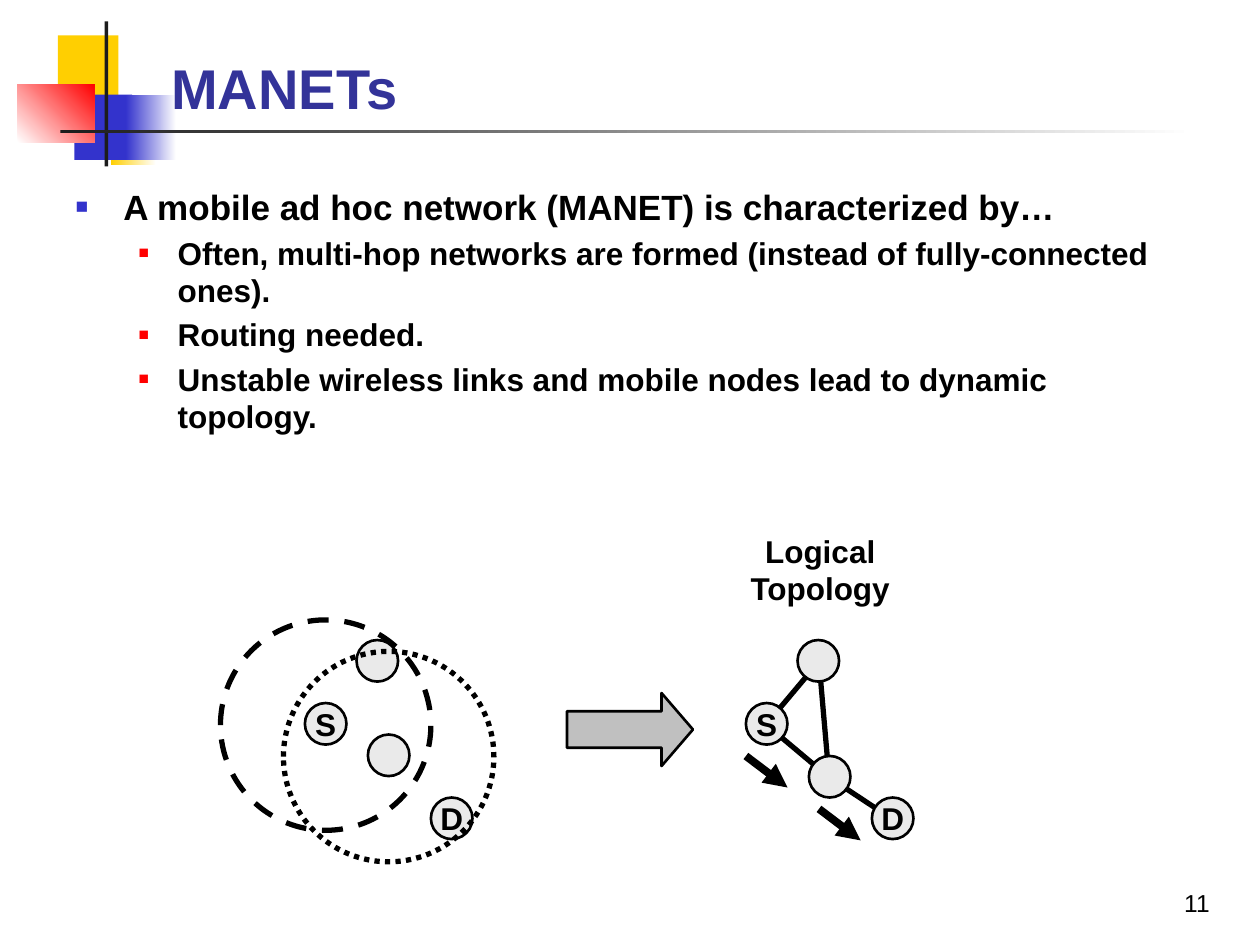
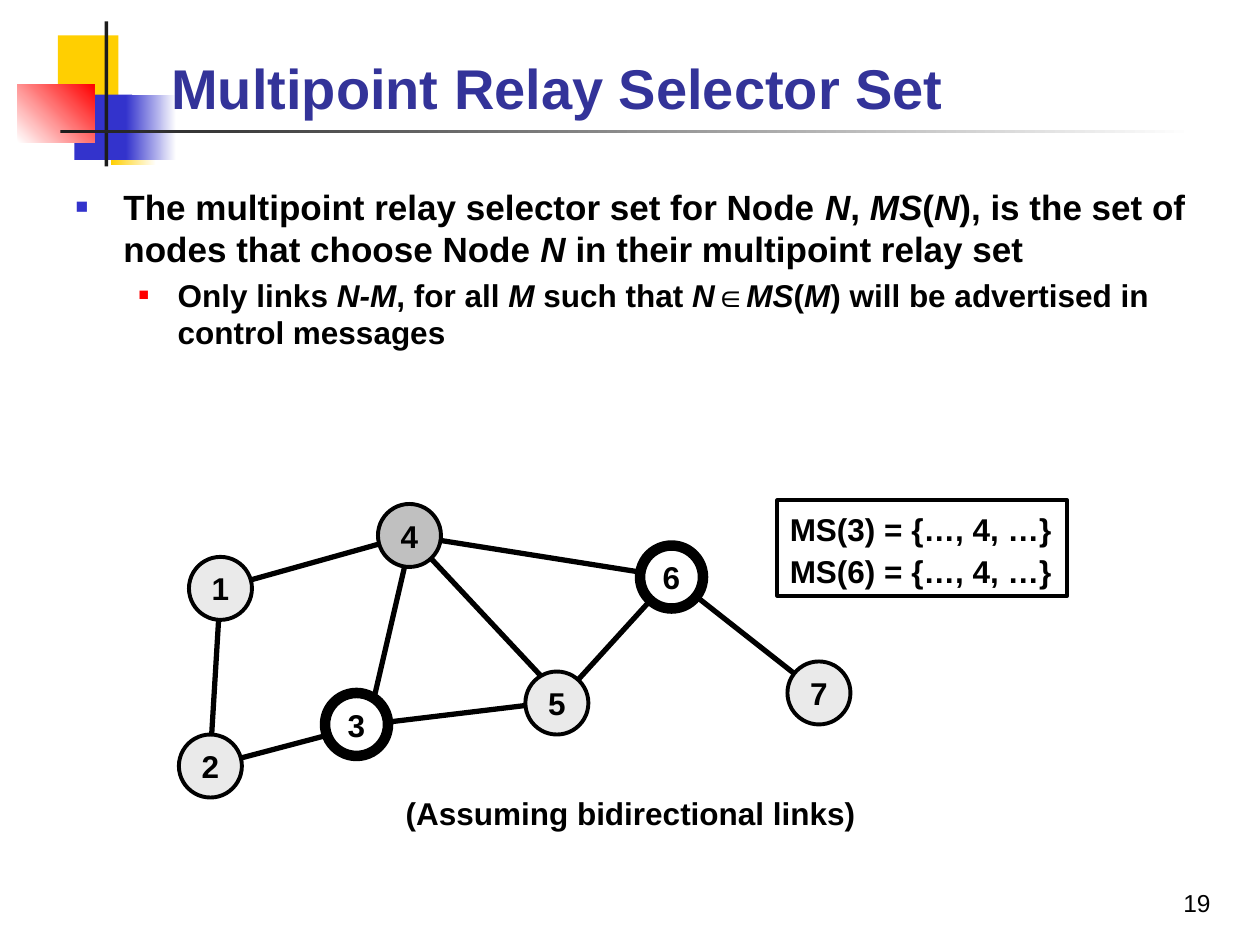
from dataclasses import dataclass
from lxml.etree import SubElement
from pptx import Presentation
from pptx.dml.color import RGBColor
from pptx.enum.dml import MSO_LINE
from pptx.enum.shapes import MSO_CONNECTOR, MSO_SHAPE
from pptx.enum.text import MSO_ANCHOR, MSO_AUTO_SIZE, PP_ALIGN
from pptx.oxml.ns import qn
from pptx.util import Inches, Pt


@dataclass(frozen=True)
class Theme:
    font: str = "Arial"
    ink: str = "000000"
    white: str = "FFFFFF"
    title: str = "333399"
    gold: str = "FFCF01"
    blue: str = "3333CC"
    red: str = "FF0000"
    dark: str = "1C1C1C"
    pale: str = "EAEAEA"
    gray: str = "C0C0C0"
    head: int = 32
    main: int = 20
    small: int = 18
    page: int = 14


LOOK = Theme()
LEVELS = (
    (0.38, -0.38, LOOK.blue, 60, LOOK.main),
    (0.81, -0.31, LOOK.red, 55, LOOK.small),
)


def color(code):
    return RGBColor.from_string(code)


def box(*edges):
    return [Inches(edge) for edge in edges]


def write(para, text, size=LOOK.small, ink=LOOK.ink, bold=True,
          align=PP_ALIGN.LEFT, before=0, spacing=None):
    para.alignment = align
    para.space_before = Pt(before)
    if spacing:
        para.line_spacing = spacing
    for spot, part in enumerate(text.split("*")):
        if part:
            run = para.add_run()
            run.text = part
            font = run.font
            font.name, font.size, font.bold = LOOK.font, Pt(size), bold
            font.italic = spot % 2 == 1
            font.color.rgb = color(ink)


def fill_frame(frame, lines, **style):
    for spot, line in enumerate(lines):
        para = frame.add_paragraph() if spot else frame.paragraphs[0]
        write(para, line, **style)


def add_form(slide, kind, place, fill=None, line=None, dash=None, angle=0):
    form = slide.shapes.add_shape(kind, *box(*place))
    form.shadow.inherit = False
    if isinstance(fill, tuple):
        form.fill.gradient()
        form.fill.gradient_angle = angle
        for stop, code in zip(form.fill.gradient_stops, fill):
            stop.color.rgb = color(code)
    elif fill:
        form.fill.solid()
        form.fill.fore_color.rgb = color(fill)
    else:
        form.fill.background()
    if line:
        form.line.color.rgb = color(LOOK.ink)
        form.line.width = Pt(line)
        if dash:
            form.line.dash_style = dash
    else:
        form.line.fill.background()
    return form


def add_node(slide, left, top, size, text="", fill=LOOK.pale, line=1.5):
    node = add_form(slide, MSO_SHAPE.OVAL, (left, top, size, size), fill, line)
    if text:
        frame = node.text_frame
        frame.word_wrap = False
        frame.vertical_anchor = MSO_ANCHOR.MIDDLE
        write(frame.paragraphs[0], text, align=PP_ALIGN.CENTER)


def add_link(slide, start, end, width=3, head=False):
    link = slide.shapes.add_connector(
        MSO_CONNECTOR.STRAIGHT, *box(*start), *box(*end))
    link.line.color.rgb = color(LOOK.ink)
    link.line.width = Pt(width)
    props = link.element.spPr
    if head:
        SubElement(props.find(qn("a:ln")), qn("a:tailEnd"), type="triangle")
    SubElement(props, qn("a:effectLst"))


def add_label(slide, place, lines, wrap=False, **style):
    frame = slide.shapes.add_textbox(*box(*place)).text_frame
    frame.word_wrap = wrap
    if not wrap:
        frame.auto_size = MSO_AUTO_SIZE.SHAPE_TO_FIT_TEXT
    fill_frame(frame, lines, align=PP_ALIGN.CENTER, **style)


def set_place(holder, place, anchor):
    holder.left, holder.top, holder.width, holder.height = box(*place)
    frame = holder.text_frame
    frame.auto_size = MSO_AUTO_SIZE.NONE
    frame.vertical_anchor = anchor
    return frame


def add_bullet(para, text, level, first):
    left, hang, tint, scale, size = LEVELS[level]
    para.level = level
    props = para._p.get_or_add_pPr()
    props.set("marL", str(Inches(left)))
    props.set("indent", str(Inches(hang)))
    SubElement(SubElement(props, qn("a:buClr")), qn("a:srgbClr"), val=tint)
    SubElement(props, qn("a:buSzPct"), val=str(scale * 1000))
    SubElement(props, qn("a:buFont"), typeface=LOOK.font)
    SubElement(props, qn("a:buChar"), char="■")
    write(para, text, size=size, before=0 if first else size * 0.2)


def add_slide(deck, title, points, page):
    slide = deck.slides.add_slide(deck.slide_layouts[1])
    head, body = slide.placeholders
    frame = set_place(head, (1.26, 0.18, 8.52, 0.83), MSO_ANCHOR.BOTTOM)
    write(frame.paragraphs[0], title, size=LOOK.head, ink=LOOK.title)
    frame = set_place(body, (0.5, 1.42, 9.08, 5.67), MSO_ANCHOR.TOP)
    for spot, (level, text) in enumerate(points):
        para = frame.add_paragraph() if spot else frame.paragraphs[0]
        add_bullet(para, text, level, spot == 0)
    add_label(slide, (9, 7, 1, 0.5), [page], wrap=True,
              size=LOOK.page, bold=False)
    return slide


def add_decor(deck, slide):
    parts = (
        ((0.46, 0.28, 0.48, 0.52), LOOK.gold, 0),
        ((0.88, 0.79, 0.36, 0.52), (LOOK.gold, LOOK.white), 0),
        ((0.59, 0.75, 0.46, 0.52), LOOK.blue, 0),
        ((1, 0.75, 0.4, 0.52), (LOOK.blue, LOOK.white), 0),
        ((0.14, 0.67, 0.61, 0.46), (LOOK.white, LOOK.red), 45),
        ((0.83, 0.17, 0.03, 1.15), LOOK.dark, 0),
        ((0.48, 1.03, 9, 0.03), (LOOK.dark, LOOK.white), 0),
    )
    tree = deck.slide_master.shapes.element
    for spot, (place, fill, angle) in enumerate(parts):
        form = add_form(slide, MSO_SHAPE.RECTANGLE, place, fill, angle=angle)
        form.element.xpath(".//p:cNvPr")[0].set("id", str(100 + spot))
        tree.insert(2 + spot, form.element)


def draw_manet(slide):
    size, ring, shift = 0.33, 1.67, 3.5
    ends = ((2.42, 5.58, "S"), (2.83, 5.08, ""), (3.42, 6.33, "D"))
    for left, top, text in ends + ((2.92, 5.83, ""),):
        add_node(slide, left, top, size, text)
    for left, top, dash in ((1.75, 4.92, MSO_LINE.DASH),
                            (2.25, 5.17, MSO_LINE.ROUND_DOT)):
        add_form(slide, MSO_SHAPE.OVAL, (left, top, ring, ring),
                 line=3, dash=dash)
    source, peak, relay, target = (
        (6.08, 5.75), (6.5, 5.25), (6.58, 6.17), (7.08, 6.5))
    for start, end in ((peak, relay), (source, relay),
                       (relay, target), (peak, source)):
        add_link(slide, start, end)
    for left, top, text in ends:
        add_node(slide, left + shift, top, size, text)
    add_node(slide, 6.42, 6, size)
    arrow = add_form(slide, MSO_SHAPE.RIGHT_ARROW, (4.5, 5.5, 1, 0.58),
                     LOOK.gray, 1.5)
    arrow.adjustments[1] = 0.43
    add_label(slide, (5.84, 4.17, 1.34, 0.71), ["Logical", "Topology"])
    for left, top in ((5.92, 6), (6.5, 6.42)):
        add_link(slide, (left, top), (left + 0.33, top + 0.25), 4.5, True)


def draw_relay(slide):
    frame = add_form(slide, MSO_SHAPE.RECTANGLE, (6.17, 3.97, 2.3, 0.76),
                     LOOK.white, 2.25).text_frame
    frame.word_wrap = False
    frame.auto_size = MSO_AUTO_SIZE.SHAPE_TO_FIT_TEXT
    frame.vertical_anchor = MSO_ANCHOR.TOP
    fill_frame(frame, [f"MS({node}) = {{…, 4, …}}" for node in (3, 6)],
               spacing=1.1)
    add_label(slide, (3.1, 6.25, 3.81, 0.4),
              ["(Assuming bidirectional links)"])
    one, three, four, six = (
        (1.75, 4.67), (2.92, 5.75), (3.25, 4.25), (5.33, 4.58))
    for start, end in (
        (six, (6.5, 5.5)), (one, (1.67, 6)), (four, (4.42, 5.5)),
        ((1.67, 6.08), three), (one, four), ((3.25, 4.33), three),
        (three, (4.33, 5.58)), (four, six), (six, (4.42, 5.58)),
    ):
        add_link(slide, start, end)
    plain, chosen, relay = (LOOK.pale, 2.25), (LOOK.gray, 2.25), (LOOK.white, 6)
    for text, left, top, style in (
        ("1", 1.5, 4.42, plain), ("2", 1.42, 5.83, plain),
        ("3", 2.58, 5.5, relay), ("4", 3, 4, chosen),
        ("5", 4.17, 5.33, plain), ("6", 5.08, 4.33, relay),
        ("7", 6.25, 5.25, plain),
    ):
        add_node(slide, left, top, 0.5, text, *style)


def main():
    deck = Presentation()
    deck.slide_width, deck.slide_height = box(10, 7.5)
    manet = add_slide(deck, "MANETs", (
        (0, "A mobile ad hoc network (MANET) is characterized by…"),
        (1, "Often, multi-hop networks are formed "
            "(instead of fully-connected ones)."),
        (1, "Routing needed."),
        (1, "Unstable wireless links and mobile nodes lead to "
            "dynamic topology."),
    ), "11")
    add_decor(deck, manet)
    draw_manet(manet)
    relay = add_slide(deck, "Multipoint Relay Selector Set", (
        (0, "The multipoint relay selector set for Node *N*, *MS*(*N*), is "
            "the set of nodes that choose Node *N* in their multipoint "
            "relay set"),
        (1, "Only links *N-M*, for all *M* such that *N*∈*MS*(*M*) will be "
            "advertised in control messages"),
    ), "19")
    draw_relay(relay)
    deck.save("out.pptx")


if __name__ == "__main__":
    main()
